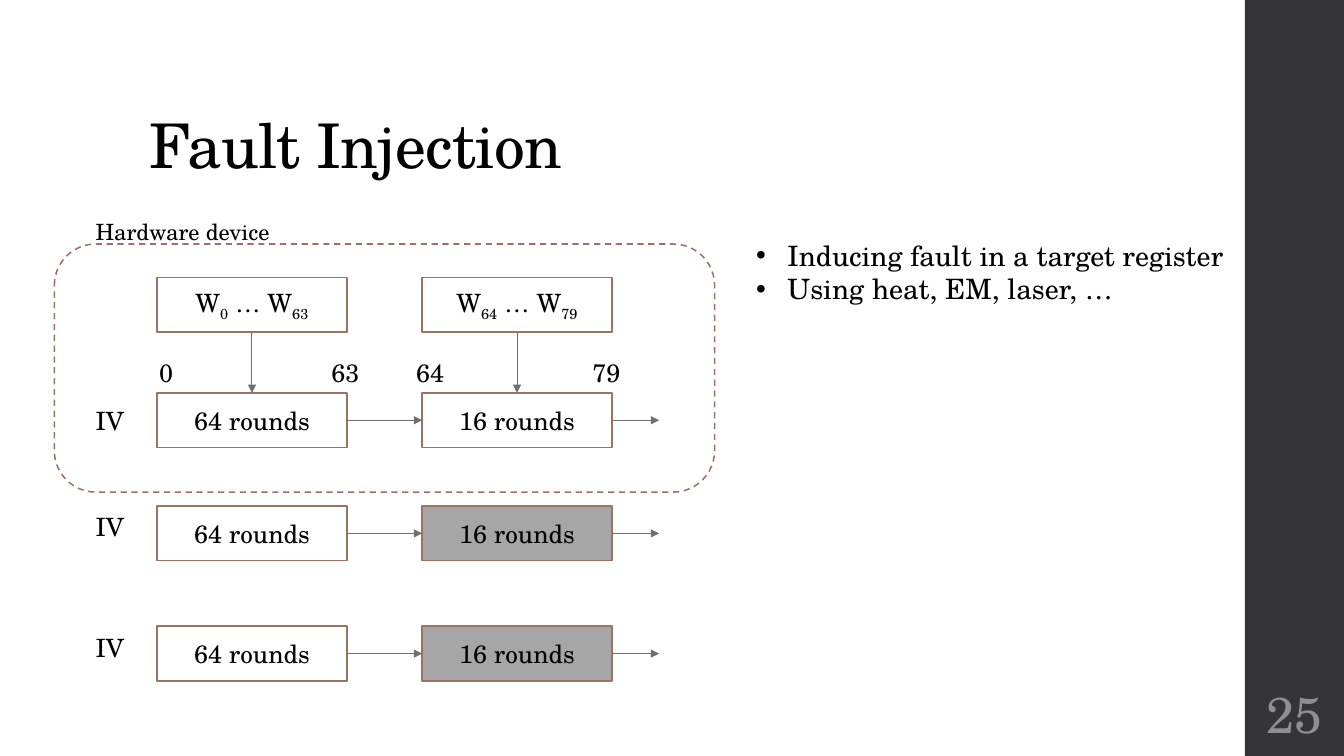
from lxml import etree
from pptx import Presentation
from pptx.dml.color import RGBColor
from pptx.enum import dml, shapes, text
from pptx.oxml.ns import qn
from pptx.util import Cm, Pt

FONT = "TeX Gyre Schola"
COLORS = {
    "text": "000000",
    "outline": "9B7362",
    "arrow": "6F6F74",
    "plain": "FFFFFF",
    "faulty": "A6A6A6",
    "sidebar": "353537",
    "number": "8E8E94",
}
COLUMNS = (3.96, 10.64)
BOX_WIDTH, BOX_HEIGHT = 4.78, 1.38
WORDS_TOP = 6.99
# Top of each row of rounds, top of its IV label, fill of its last rounds
ROWS = ((9.9, 10.08, "plain"), (12.75, 12.75, "faulty"), (15.78, 15.8, "faulty"))
EXIT_END = 16.61


def rgb(name):
    return RGBColor.from_string(COLORS[name])


def place(item, left, top, width, height):
    item.left, item.top, item.width, item.height = map(Cm, (left, top, width, height))


def style(para, size, color="text", align=text.PP_ALIGN.LEFT):
    para.alignment = align
    for span in para.runs:
        span.font.name = FONT
        span.font.size = Pt(size)
        span.font.color.rgb = rgb(color)


def add_label(page, content, left, top, width, height=1.02, size=18):
    box = page.shapes.add_textbox(*map(Cm, (left, top, width, height)))
    box.text_frame.word_wrap = True
    box.text_frame.text = content
    style(box.text_frame.paragraphs[0], size)
    return box


def add_panel(page, kind, left, top, width, height, fill=None, outline=True):
    panel = page.shapes.add_shape(kind, *map(Cm, (left, top, width, height)))
    panel.shadow.inherit = False
    if fill:
        panel.fill.solid()
        panel.fill.fore_color.rgb = rgb(fill)
    else:
        panel.fill.background()
    if outline:
        panel.line.color.rgb = rgb("outline")
        panel.line.width = Pt(1.1)
    else:
        panel.line.fill.background()
    return panel


def add_box(page, left, top, parts, fill="plain"):
    """Add a diagram box; every second part of its text is a subscript."""
    box = add_panel(page, shapes.MSO_SHAPE.RECTANGLE, left, top, BOX_WIDTH, BOX_HEIGHT, fill)
    box.text_frame.vertical_anchor = text.MSO_ANCHOR.MIDDLE
    para = box.text_frame.paragraphs[0]
    for index, part in enumerate(parts):
        span = para.add_run()
        span.text = part
        if index % 2:
            span.font._element.set("baseline", "-25000")
    style(para, 18, align=text.PP_ALIGN.CENTER)


def add_arrow(page, x1, y1, x2, y2):
    arrow = page.shapes.add_connector(
        shapes.MSO_CONNECTOR.STRAIGHT, *map(Cm, (x1, y1, x2, y2)))
    arrow.line.color.rgb = rgb("arrow")
    arrow.line.width = Pt(0.75)
    etree.SubElement(arrow.line._get_or_add_ln(), qn("a:tailEnd"), type="triangle")
    etree.SubElement(arrow._element.spPr, qn("a:effectLst"))


def add_title(page, content):
    title = page.shapes.title
    place(title, 3.51, 1.02, 26.92, 3.68)
    title.text_frame.text = content
    title.text_frame.vertical_anchor = text.MSO_ANCHOR.BOTTOM
    para = title.text_frame.paragraphs[0]
    para.line_spacing = 0.9
    style(para, 44)
    para.runs[0].font._element.set("spc", "-50")


def add_bullets(page, items):
    body = page.placeholders[1]
    place(body, 18.8, 5.87, 12.4, 1.96)
    frame = body.text_frame
    frame.text = "\n".join(items)
    frame.auto_size = text.MSO_AUTO_SIZE.NONE
    frame.word_wrap = False
    for para in frame.paragraphs:
        props = para._p.get_or_add_pPr()
        props.set("marL", str(Cm(0.79)))
        props.set("indent", str(-Cm(0.79)))
        etree.SubElement(props, qn("a:buFont"), typeface="Arial")
        etree.SubElement(props, qn("a:buChar"), char="•")
        para.space_before = Pt(0)
        style(para, 20)


def add_sidebar(page, number):
    add_panel(page, shapes.MSO_SHAPE.RECTANGLE, 31.37, 0, 2.5, 19.05, "sidebar", outline=False)
    box = add_label(page, number, 31.37, 17.15, 2.5, 1.65)
    frame = box.text_frame
    frame.margin_left = frame.margin_right = Cm(0.13)
    frame.margin_top = frame.margin_bottom = Cm(0.13)
    frame.vertical_anchor = text.MSO_ANCHOR.MIDDLE
    style(frame.paragraphs[0], 36, "number", text.PP_ALIGN.CENTER)


def add_rounds(page, top, label_top, last_fill):
    """Add one row: IV, 64 rounds, 16 rounds and the arrows between them."""
    first, last = COLUMNS
    middle = top + BOX_HEIGHT / 2
    add_label(page, "IV", 2.16, label_top, 1.47)
    add_box(page, first, top, ["64 rounds"])
    add_box(page, last, top, ["16 rounds"], last_fill)
    add_arrow(page, first + BOX_WIDTH, middle, last, middle)
    add_arrow(page, last + BOX_WIDTH, middle, EXIT_END, middle)


def add_message_words(page):
    rounds_top = ROWS[0][0]
    for left, start, end in zip(COLUMNS, ("0", "64"), ("63", "79")):
        center = left + BOX_WIDTH / 2
        add_box(page, left, WORDS_TOP, ["W", start, " … W", end])
        add_arrow(page, center, WORDS_TOP + BOX_HEIGHT, center, rounds_top)
    for content, left in (("0", 3.76), ("63", 8.1), ("64", 10.24), ("79", 14.68)):
        add_label(page, content, left, 8.89, 1.45)


def add_device(page):
    frame = add_panel(page, shapes.MSO_SHAPE.ROUNDED_RECTANGLE, 1.37, 6.15, 16.64, 6.25)
    frame.line.dash_style = dml.MSO_LINE.DASH
    add_label(page, "Hardware device", 2.16, 5.38, 6.53, 0.94, size=16)


def main():
    deck = Presentation()
    deck.slide_width, deck.slide_height = Cm(33.87), Cm(19.05)
    page = deck.slides.add_slide(deck.slide_layouts[1])
    add_sidebar(page, "25")
    add_title(page, "Fault Injection")
    add_message_words(page)
    for row in ROWS:
        add_rounds(page, *row)
    add_bullets(page, ["Inducing fault in a target register", "Using heat, EM, laser, …"])
    add_device(page)
    deck.save("out.pptx")


if __name__ == "__main__":
    main()
